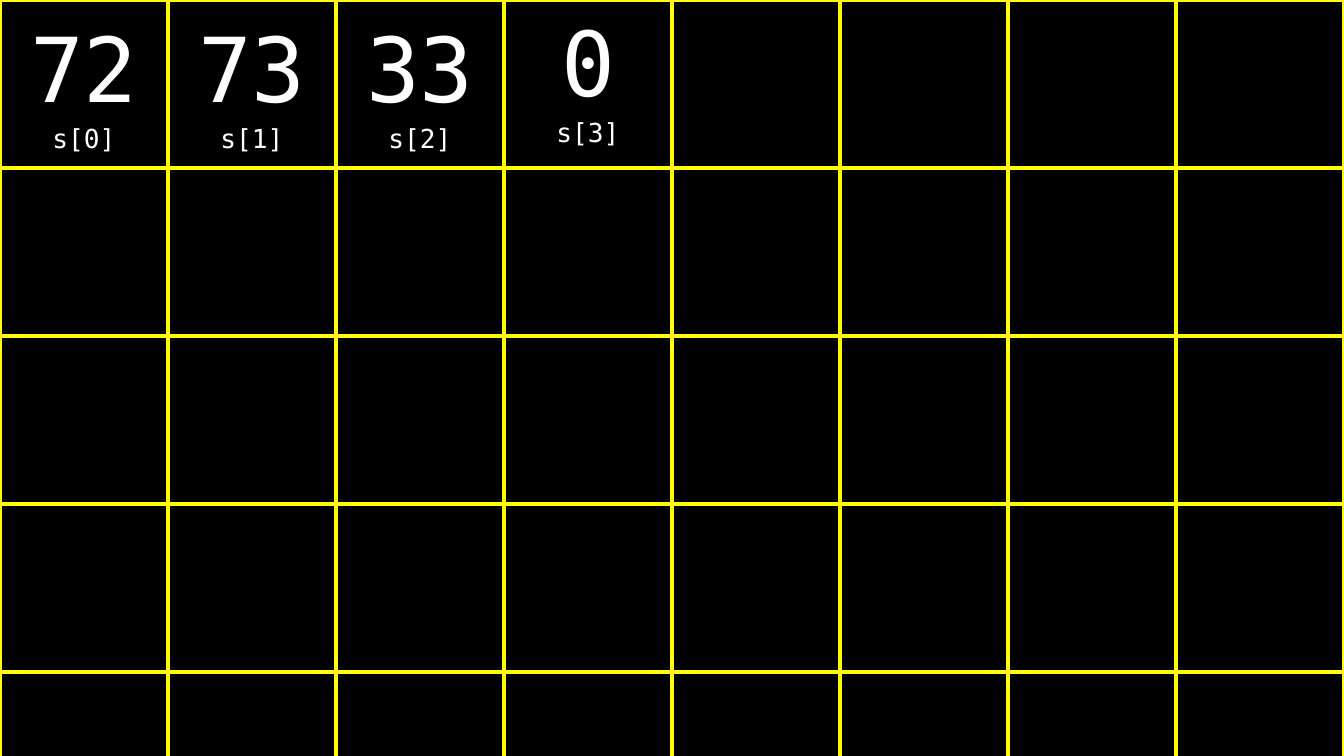
from lxml import etree
from pptx import Presentation
from pptx.dml.color import RGBColor
from pptx.enum.text import MSO_ANCHOR, PP_ALIGN
from pptx.oxml.ns import qn
from pptx.util import Pt

TOP, BOTTOM = MSO_ANCHOR.TOP, MSO_ANCHOR.BOTTOM
CENTER = PP_ALIGN.CENTER

# Value in memory, its label, vertical anchor
BYTES = [
    ("72", "s[0]", BOTTOM),
    ("73", "s[1]", BOTTOM),
    ("33", "s[2]", BOTTOM),
    ("0", "s[3]", TOP),
]
COLUMNS, ROWS = 8, 5
CELL_SIZE = 90
CELL_MARGIN = 7.2
BORDER_WIDTH = 3
VALUE_SIZE, LABEL_SIZE = 48, 14
FONT = "DejaVu Sans Mono"
BLACK, WHITE, YELLOW = "000000", "FFFFFF", "FFFF00"


def rgb(color):
    return RGBColor.from_string(color)


def add_borders(cell):
    """Outline all four sides; the lines must come before the cell's fill."""
    properties = cell._tc.get_or_add_tcPr()
    for position, side in enumerate(("a:lnL", "a:lnR", "a:lnT", "a:lnB")):
        line = etree.Element(qn(side), w=str(Pt(BORDER_WIDTH)))
        fill = etree.SubElement(line, qn("a:solidFill"))
        etree.SubElement(fill, qn("a:srgbClr"), val=YELLOW)
        properties.insert(position, line)


def write_byte(cell, value, label, anchor):
    cell.vertical_anchor = anchor
    frame = cell.text_frame
    lines = [
        (frame.paragraphs[0], value, VALUE_SIZE),
        (frame.add_paragraph(), label, LABEL_SIZE),
    ]
    for paragraph, text, size in lines:
        paragraph.alignment = CENTER
        run = paragraph.add_run()
        run.text = text
        run.font.name = FONT
        run.font.size = Pt(size)
        run.font.color.rgb = rgb(WHITE)


presentation = Presentation()
presentation.slide_width = Pt(720)
presentation.slide_height = Pt(405)
slide = presentation.slides.add_slide(presentation.slide_layouts[6])
slide.background.fill.solid()
slide.background.fill.fore_color.rgb = rgb(BLACK)

memory = slide.shapes.add_table(
    ROWS, COLUMNS, Pt(0), Pt(0), Pt(COLUMNS * CELL_SIZE), Pt(ROWS * CELL_SIZE)
).table
memory.first_row = False
memory.horz_banding = False
for column in memory.columns:
    column.width = Pt(CELL_SIZE)
for row in memory.rows:
    row.height = Pt(CELL_SIZE)

for cell in memory.iter_cells():
    cell.margin_left = cell.margin_right = Pt(CELL_MARGIN)
    cell.margin_top = cell.margin_bottom = Pt(CELL_MARGIN)
    cell.fill.background()
    add_borders(cell)

for index, (value, label, anchor) in enumerate(BYTES):
    write_byte(memory.cell(0, index), value, label, anchor)

presentation.save("out.pptx")
